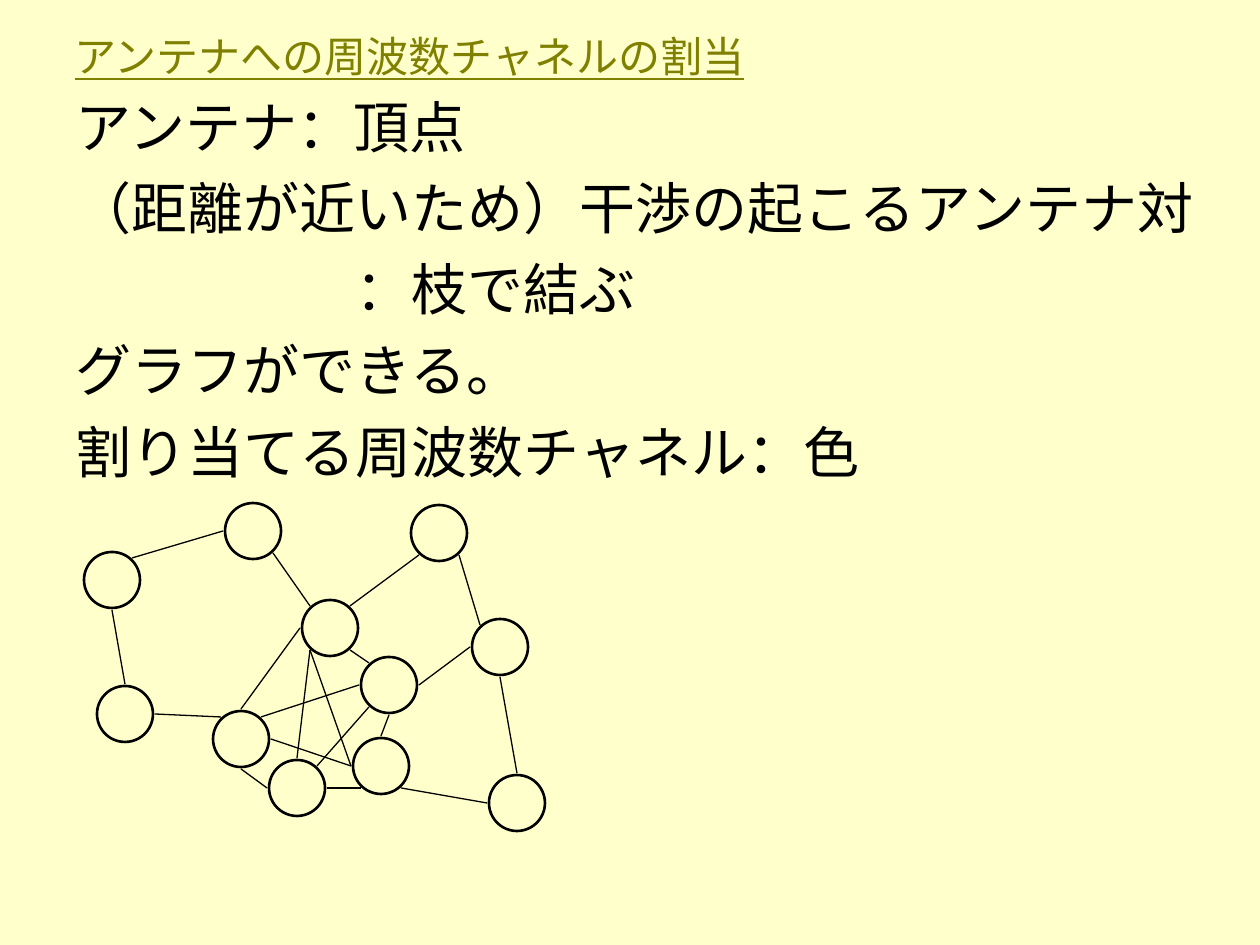
import pptx
import pptx.dml.color
import pptx.enum.shapes
import pptx.enum.text
import pptx.oxml.ns
import pptx.util
from lxml import etree

EMU_PER_PX = 914400 // 126
DIAMETER = 56
ANTENNAS = {
    "A": (253, 531), "B": (112, 580), "C": (241, 739), "D": (125, 714),
    "E": (389, 685), "F": (330, 628), "G": (381, 766), "H": (297, 788),
    "I": (439, 533), "J": (517, 803), "K": (500, 647),
}
COMPASS = {
    "n": (0, -30), "s": (0, 30), "w": (-30, 0), "e": (30, 0),
    "nw": (-20, -22), "ne": (20, -22), "sw": (-20, 22), "se": (20, 22),
}
INTERFERENCES = [
    "B s D n", "B ne A w", "A se F nw", "F w C n", "D e C nw",
    "F se E nw", "E w C ne", "C s H w", "H ne E sw", "F sw H n",
    "E s G n", "H e G sw", "C e G w", "F sw G w", "F ne I sw",
    "I se K nw", "K s J n", "J w G se", "E e K w",
]
STATEMENTS = [
    ("アンテナ：頂点", 0),
    ("（距離が近いため）干渉の起こるアンテナ対", 0),
    ("：枝で結ぶ", 280),
    ("グラフができる。", 0),
    ("割り当てる周波数チャネル：色", 0),
]


def px(length):
    """Turn pixels into EMU."""
    return pptx.util.Emu(length * EMU_PER_PX)


def color(hex_code):
    """Turn a hex string into a colour."""
    return pptx.dml.color.RGBColor.from_string(hex_code)


def place(holder, left, top, width, height, anchor):
    """Move a placeholder and fix its text frame."""
    holder.left, holder.top = px(left), px(top)
    holder.width, holder.height = px(width), px(height)
    frame = holder.text_frame
    frame.word_wrap = True
    frame.auto_size = pptx.enum.text.MSO_AUTO_SIZE.NONE
    frame.vertical_anchor = anchor
    return frame


def write(paragraph, text, size=32, ink="000000", underline=None, before=0, indent=0):
    """Fill a paragraph with formatted text and no bullet."""
    properties = paragraph._p.get_or_add_pPr()
    properties.set("marL", str(px(indent)))
    properties.set("indent", "0")
    etree.SubElement(properties, pptx.oxml.ns.qn("a:buNone"))
    paragraph.alignment = pptx.enum.text.PP_ALIGN.LEFT
    paragraph.space_before = pptx.util.Pt(before)
    run = paragraph.add_run()
    run.text = text
    run.font.name = "Times New Roman"
    run.font.size = pptx.util.Pt(size)
    run.font.color.rgb = color(ink)
    run.font.underline = underline


def add_antenna(slide, x, y):
    """Draw one vertex centred on a point."""
    radius = DIAMETER // 2
    antenna = slide.shapes.add_shape(
        pptx.enum.shapes.MSO_SHAPE.OVAL,
        px(x - radius), px(y - radius), px(DIAMETER), px(DIAMETER))
    antenna.shadow.inherit = False
    antenna.fill.background()
    antenna.line.color.rgb = color("000000")
    antenna.line.width = pptx.util.Pt(1.5)


def anchor_point(antenna, direction):
    """Find the point where an edge meets a vertex."""
    (x, y), (dx, dy) = ANTENNAS[antenna], COMPASS[direction]
    return px(x + dx), px(y + dy)


def add_interference(slide, start, end):
    """Draw one edge between two points."""
    edge = slide.shapes.add_connector(
        pptx.enum.shapes.MSO_CONNECTOR.STRAIGHT, *start, *end)
    edge.line.color.rgb = color("000000")
    edge.line.width = pptx.util.Pt(0.75)
    etree.SubElement(edge._element.spPr, pptx.oxml.ns.qn("a:effectLst"))


def main():
    """Build the slide and save it."""
    deck = pptx.Presentation()
    deck.slide_width, deck.slide_height = px(1260), px(945)
    slide = deck.slides.add_slide(deck.slide_layouts[1])
    slide.background.fill.solid()
    slide.background.fill.fore_color.rgb = color("FFFFCC")

    heading = place(slide.shapes.title, 62, 23, 1106, 66, pptx.enum.text.MSO_ANCHOR.MIDDLE)
    write(heading.paragraphs[0], "アンテナへの周波数チャネルの割当",
          size=24, ink="808000", underline=True)

    body = place(slide.placeholders[1], 63, 86, 1150, 717, pptx.enum.text.MSO_ANCHOR.TOP)
    for index, (statement, indent) in enumerate(STATEMENTS):
        paragraph = body.add_paragraph() if index else body.paragraphs[0]
        write(paragraph, statement, before=8 if index else 0, indent=indent)

    for x, y in ANTENNAS.values():
        add_antenna(slide, x, y)
    for interference in INTERFERENCES:
        first, leaving, second, arriving = interference.split()
        add_interference(slide, anchor_point(first, leaving), anchor_point(second, arriving))

    deck.save("out.pptx")


if __name__ == "__main__":
    main()
